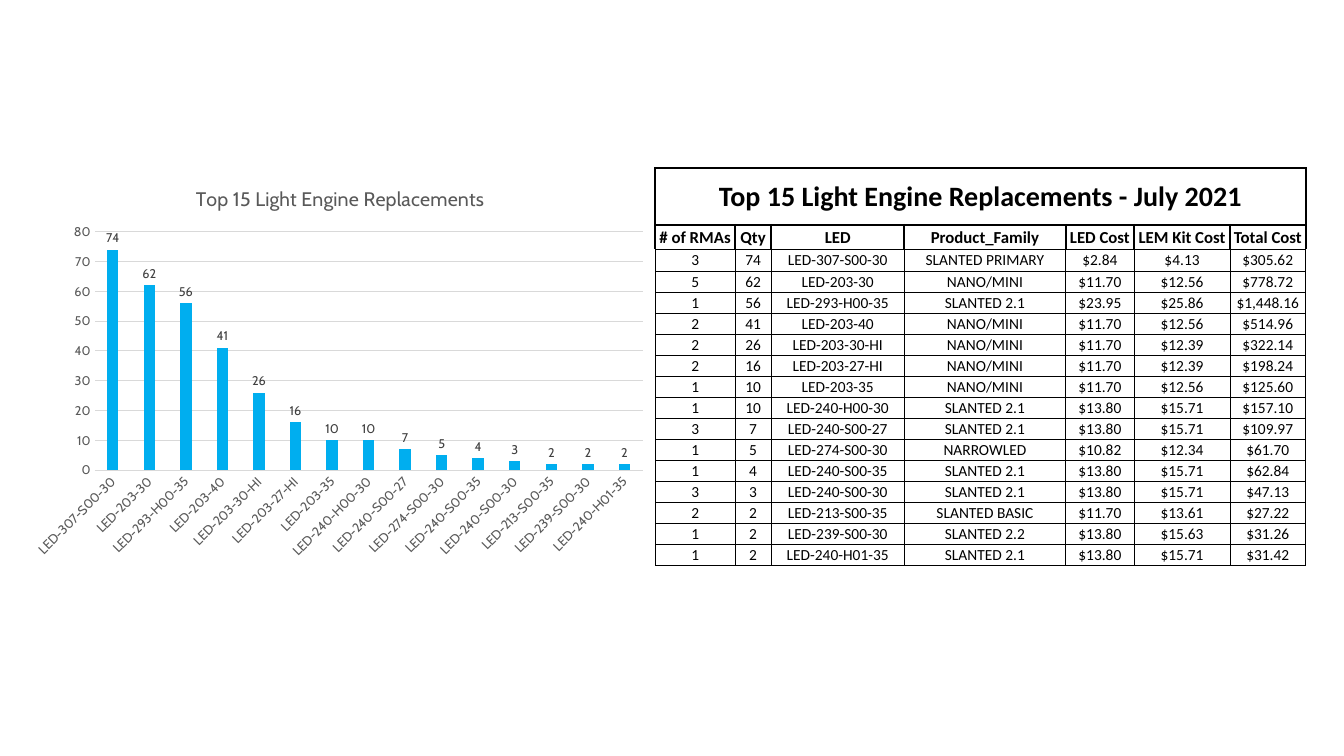
from dataclasses import dataclass

from lxml import etree
from pptx import Presentation
from pptx import util as u
from pptx.chart import data as cd
from pptx.dml import color
from pptx.enum import chart as ec, text
from pptx.oxml import ns


@dataclass(frozen=True)
class Theme:
    ink: str = "000000"
    paper: str = "FFFFFF"
    bar: str = "00AEEF"
    grid: str = "D9D9D9"
    axis: str = "595959"
    label: str = "404040"
    body: str = "Calibri"
    face: str = "Cabin"
    banner: float = 20
    head: float = 12
    cell: float = 11
    title: float = 14
    base: float = 10
    cats: float = 9.3
    small: float = 9
    thick: float = 1.5
    thin: float = 0.5
    rule: float = 0.75


T = Theme()
TITLE = "Top 15 Light Engine Replacements"
HEADS = ["# of RMAs", "Qty", "LED", "Product_Family", "LED Cost",
         "LEM Kit Cost", "Total Cost"]
WIDTHS = [0.79, 0.36, 1.32, 1.6, 0.68, 0.95, 0.75]
TOP, HEIGHT = 1.67, 3.94

# RMAs, quantity, LED, family, LED cost, kit cost
PARTS = [
    (3, 74, "LED-307-S00-30", "SLANTED PRIMARY", 2.84, 4.13),
    (5, 62, "LED-203-30", "NANO/MINI", 11.70, 12.56),
    (1, 56, "LED-293-H00-35", "SLANTED 2.1", 23.95, 25.86),
    (2, 41, "LED-203-40", "NANO/MINI", 11.70, 12.56),
    (2, 26, "LED-203-30-HI", "NANO/MINI", 11.70, 12.39),
    (2, 16, "LED-203-27-HI", "NANO/MINI", 11.70, 12.39),
    (1, 10, "LED-203-35", "NANO/MINI", 11.70, 12.56),
    (1, 10, "LED-240-H00-30", "SLANTED 2.1", 13.80, 15.71),
    (3, 7, "LED-240-S00-27", "SLANTED 2.1", 13.80, 15.71),
    (1, 5, "LED-274-S00-30", "NARROWLED", 10.82, 12.34),
    (1, 4, "LED-240-S00-35", "SLANTED 2.1", 13.80, 15.71),
    (3, 3, "LED-240-S00-30", "SLANTED 2.1", 13.80, 15.71),
    (2, 2, "LED-213-S00-35", "SLANTED BASIC", 11.70, 13.61),
    (1, 2, "LED-239-S00-30", "SLANTED 2.2", 13.80, 15.63),
    (1, 2, "LED-240-H01-35", "SLANTED 2.1", 13.80, 15.71),
]


def rgb(code):
    return color.RGBColor.from_string(code)


def style(font, size, ink, face, bold=False):
    font.size, font.name, font.bold = u.Pt(size), face, bold
    font.color.rgb = rgb(ink)


def write(frame, words, size=T.cell, ink=T.ink, face=T.body, bold=False):
    para = frame.paragraphs[0]
    para.alignment = text.PP_ALIGN.CENTER
    run = para.add_run()
    run.text = words
    style(run.font, size, ink, face, bold)


def border(cell, widths):
    """Draw the left, right, top and bottom edges, in points."""
    props = cell._tc.get_or_add_tcPr()
    for side, width in zip("LRTB", widths):
        line = etree.SubElement(props, ns.qn(f"a:ln{side}"), w=str(u.Pt(width)))
        fill = etree.SubElement(line, ns.qn("a:solidFill"))
        etree.SubElement(fill, ns.qn("a:srgbClr"), val=T.ink)


def dress(cell, widths):
    border(cell, widths)
    cell.fill.solid()
    cell.fill.fore_color.rgb = rgb(T.paper)
    cell.vertical_anchor = text.MSO_ANCHOR.MIDDLE
    cell.margin_left = cell.margin_right = cell.margin_top = u.Inches(0.01)
    cell.margin_bottom = 0


def add_costs(slide):
    count = len(PARTS)
    grid = slide.shapes.add_table(
        count + 2, len(HEADS), u.Inches(6.5), u.Inches(TOP),
        u.Inches(sum(WIDTHS)), u.Inches(HEIGHT)).table
    grid.first_row = grid.horz_banding = False
    for col, width in zip(grid.columns, WIDTHS):
        col.width = u.Inches(width)
    tops = [0.56, 0.24, 0.22]
    rest = (HEIGHT - sum(tops)) / (count - 1)
    for row, height in zip(grid.rows, tops + [rest] * (count - 1)):
        row.height = u.Inches(height)

    # Banner across all columns
    for cell in grid.rows[0].cells:
        dress(cell, [T.thick] * 4)
    grid.cell(0, 0).merge(grid.cell(0, len(HEADS) - 1))
    write(grid.cell(0, 0).text_frame, f"{TITLE} - July 2021",
          size=T.banner, bold=True)

    # Column heads
    for cell, head in zip(grid.rows[1].cells, HEADS):
        dress(cell, [T.thick] * 3 + [T.thin])
        write(cell.text_frame, head, size=T.head, bold=True)

    # One row per part
    for r, (rmas, qty, led, kind, cost, kit) in enumerate(PARTS, 2):
        money = [f"${n:,.2f}" for n in (cost, kit, qty * kit)]
        for cell, words in zip(grid.rows[r].cells,
                               [str(rmas), str(qty), led, kind, *money]):
            dress(cell, [T.thin] * 4)
            write(cell.text_frame, words)


def place_plot(chart, **box):
    """Fix the inner plot area as shares of the chart's size."""
    area = chart._chartSpace.chart.plotArea
    for old in area.findall(ns.qn("c:layout")):
        area.remove(old)
    layout = etree.Element(ns.qn("c:layout"))
    area.insert(0, layout)
    spot = etree.SubElement(layout, ns.qn("c:manualLayout"))
    marks = dict(layoutTarget="inner", xMode="edge", yMode="edge", **box)
    for tag, val in marks.items():
        etree.SubElement(spot, ns.qn(f"c:{tag}"), val=str(val))


def set_line(line):
    line.color.rgb = rgb(T.grid)
    line.width = u.Pt(T.rule)


def add_bars(slide):
    data = cd.CategoryChartData(number_format="#,##0")
    data.categories = [part[2] for part in PARTS]
    data.add_series("Series 1", [part[1] for part in PARTS])
    chart = slide.shapes.add_chart(
        ec.XL_CHART_TYPE.COLUMN_CLUSTERED, u.Inches(0.25), u.Inches(TOP),
        u.Inches(6.25), u.Inches(HEIGHT), data).chart
    style(chart.font, T.base, T.ink, T.face)
    chart.has_legend = False
    chart.has_title = True
    write(chart.chart_title.text_frame, TITLE,
          size=T.title, ink=T.axis, face=T.face)
    chart.chart_title.include_in_layout = False
    place_plot(chart, x=0.11, y=0.16, w=0.87, h=0.6)

    # Axes
    cats, vals = chart.category_axis, chart.value_axis
    for axis, size in ((cats, T.cats), (vals, T.small)):
        style(axis.tick_labels.font, size, T.axis, T.face)
        axis.major_tick_mark = axis.minor_tick_mark = ec.XL_TICK_MARK.NONE
    set_line(cats.format.line)
    cats._element.txPr.bodyPr.set("rot", "-2700000")
    vals.format.line.fill.background()
    vals.minimum_scale, vals.maximum_scale, vals.major_unit = 0, 80, 10
    vals.has_major_gridlines = True
    set_line(vals.major_gridlines.format.line)

    # Bars and their labels
    plot = chart.plots[0]
    plot.gap_width, plot.overlap, plot.vary_by_categories = 219, -27, False
    bars = plot.series[0]
    bars.format.fill.solid()
    bars.format.fill.fore_color.rgb = rgb(T.bar)
    tags = bars.data_labels
    tags.show_value = True
    tags.number_format, tags.number_format_is_linked = "#,##0", False
    tags.position = ec.XL_LABEL_POSITION.OUTSIDE_END
    style(tags.font, T.small, T.label, T.face)


def main():
    deck = Presentation()
    deck.slide_width, deck.slide_height = u.Inches(13.33), u.Inches(7.5)
    slide = deck.slides.add_slide(deck.slide_layouts[6])
    add_costs(slide)
    add_bars(slide)
    deck.save("out.pptx")


if __name__ == "__main__":
    main()
